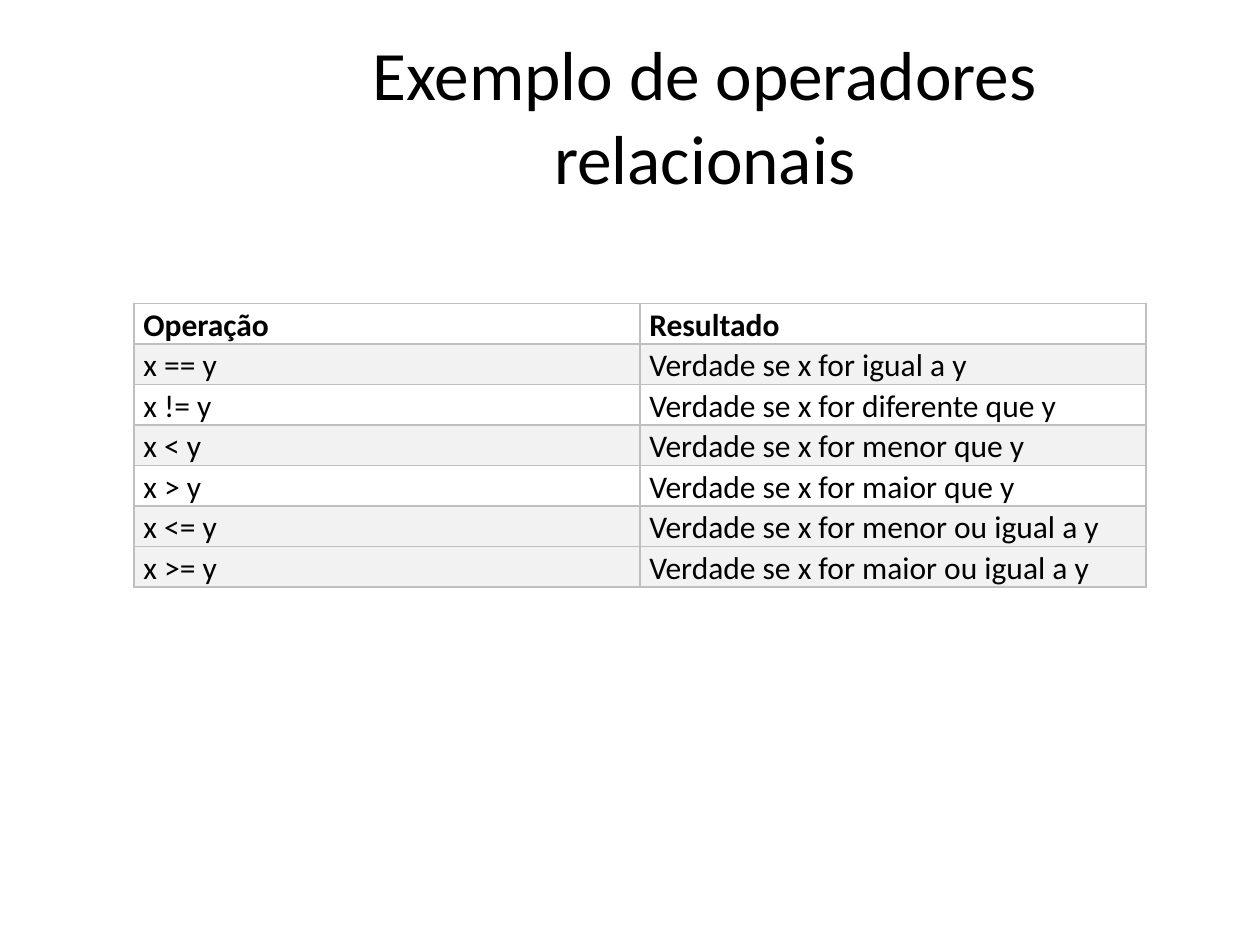
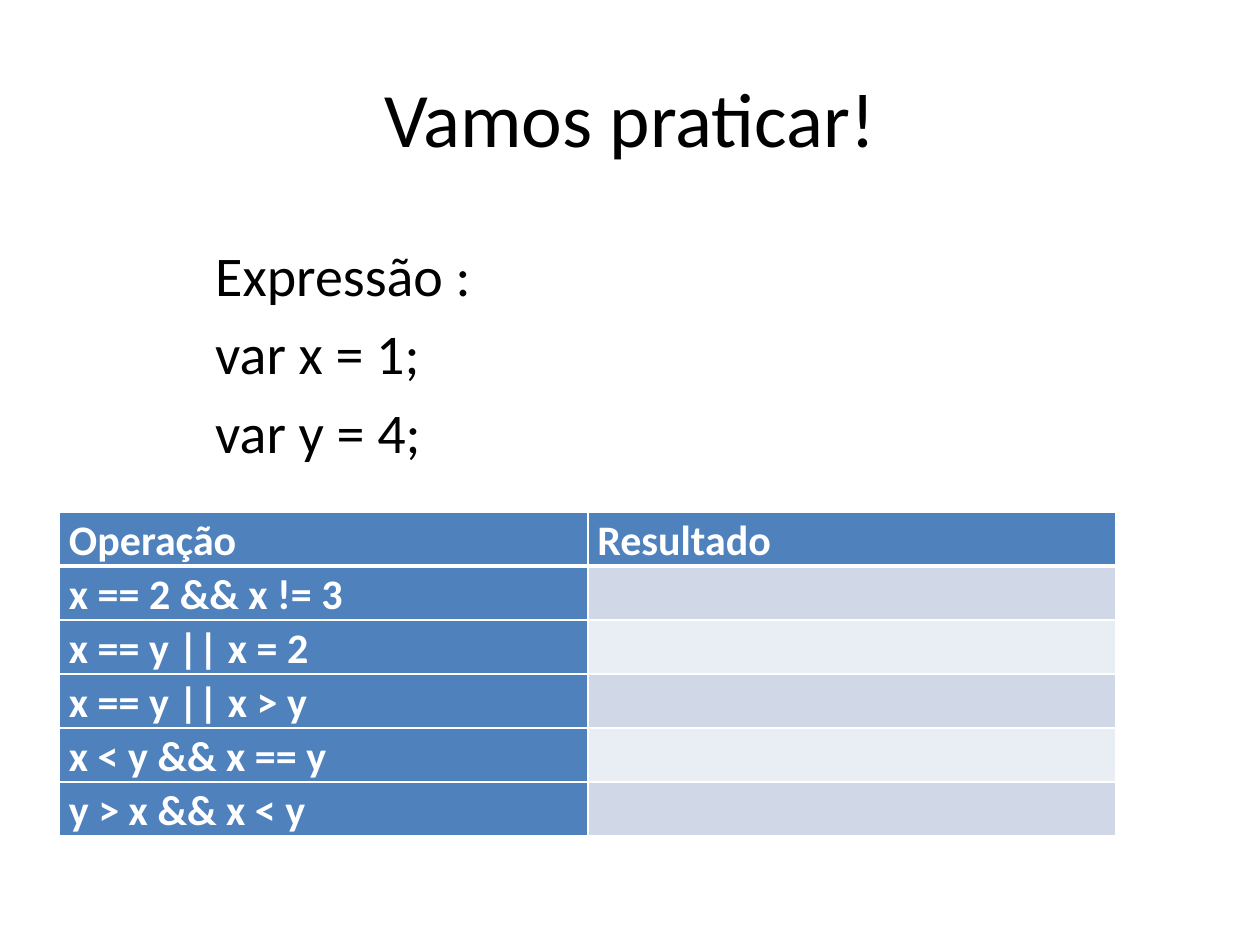
from dataclasses import dataclass
from typing import Any, Optional

from lxml import etree
from pptx import Presentation
from pptx import util as u
from pptx.dml.color import RGBColor
from pptx.enum import text
from pptx.oxml.ns import qn

# Shared look
COLOURS = {
    "ink": "000000",
    "paper": "FFFFFF",
    "grid": "BFBFBF",
    "grey": "F2F2F2",
    "blue": "4F81BD",
    "band_dark": "D0D8E8",
    "band_light": "E9EDF4",
}
FONT = "Calibri"
CELL_MARGINS = {
    "margin_left": u.Cm(0.19),
    "margin_right": u.Cm(0.19),
    "margin_top": 0,
    "margin_bottom": 0,
}
THIN, THICK = 1, 3


@dataclass
class Area:
    """Position and size in centimetres."""
    left: float
    top: float
    width: float
    height: float

    def lengths(self) -> list[u.Length]:
        return [u.Cm(value) for value in (self.left, self.top, self.width, self.height)]


@dataclass
class TextBlock:
    area: Area
    lines: list[str]
    size: float
    align: text.PP_ALIGN = text.PP_ALIGN.LEFT
    anchor: text.MSO_ANCHOR = text.MSO_ANCHOR.TOP
    space_before: float = 0


@dataclass
class Grid:
    """A table; fills holds one pair of colour names per row."""
    area: Area
    rows: list[tuple[str, str]]
    fills: list[tuple[Optional[str], Optional[str]]]
    size: float
    ink: str
    border: str
    bold_first_column: bool = False
    header_rule: float = THIN


def set_format(target: Any, values: dict[str, Any]) -> None:
    for name, value in values.items():
        setattr(target, name, value)


def set_font(font: Any, size: float, colour: str, bold: bool = False) -> None:
    set_format(font, {"name": FONT, "size": u.Pt(size), "bold": bold})
    font.color.rgb = RGBColor.from_string(COLOURS[colour])


def add_text(page: Any, block: TextBlock) -> None:
    box = page.shapes.add_textbox(*block.area.lengths())
    frame = box.text_frame
    set_format(frame, {"word_wrap": True, "vertical_anchor": block.anchor})
    for index, line in enumerate(block.lines):
        para = frame.add_paragraph() if index else frame.paragraphs[0]
        set_format(para, {"alignment": block.align,
                          "space_before": u.Pt(block.space_before)})
        span = para.add_run()
        span.text = line
        set_font(span.font, block.size, "ink")


def add_title(page: Any, title: str, area: Area, size: float) -> None:
    add_text(page, TextBlock(area, [title], size, text.PP_ALIGN.CENTER,
                             text.MSO_ANCHOR.MIDDLE))


def set_borders(cell: Any, colour: str, top: float, bottom: float) -> None:
    """Draw the four edges; they must precede the fill in the cell properties."""
    properties = cell._tc.get_or_add_tcPr()
    edges = {"a:lnL": THIN, "a:lnR": THIN, "a:lnT": top, "a:lnB": bottom}
    for position, (tag, width) in enumerate(edges.items()):
        line = etree.Element(qn(tag), w=str(u.Pt(width)))
        fill = etree.SubElement(line, qn("a:solidFill"))
        etree.SubElement(fill, qn("a:srgbClr"), val=COLOURS[colour])
        properties.insert(position, line)


def add_grid(page: Any, grid: Grid) -> None:
    table = page.shapes.add_table(len(grid.rows), 2, *grid.area.lengths()).table
    set_format(table, {"first_row": True, "horz_banding": False})
    for row, (words, fills) in enumerate(zip(grid.rows, grid.fills)):
        for column, (word, fill) in enumerate(zip(words, fills)):
            cell = table.cell(row, column)
            set_format(cell, CELL_MARGINS)
            if fill:
                cell.fill.solid()
                cell.fill.fore_color.rgb = RGBColor.from_string(COLOURS[fill])
            else:
                cell.fill.background()
            set_borders(cell, grid.border,
                        top=grid.header_rule if row == 1 else THIN,
                        bottom=grid.header_rule if row == 0 else THIN)
            if word:
                para = cell.text_frame.paragraphs[0]
                para.line_spacing = 1.07
                span = para.add_run()
                span.text = word
                bold = row == 0 or (grid.bold_first_column and column == 0)
                set_font(span.font, grid.size, grid.ink, bold)


deck = Presentation()
set_format(deck, {"slide_width": u.Cm(25.4), "slide_height": u.Cm(19.05)})
blank = deck.slide_layouts[6]
HEADER = ("Operação", "Resultado")

# Slide 1: relational operators
page = deck.slides.add_slide(blank)
add_title(page, "Exemplo de operadores relacionais", Area(4.29, 0.69, 19.84, 3.25), 39.6)
meanings = {
    "==": "igual a",
    "!=": "diferente que",
    "<": "menor que",
    ">": "maior que",
    "<=": "menor ou igual a",
    ">=": "maior ou igual a",
}
plain, shaded = (None, None), ("grey", "grey")
add_grid(page, Grid(
    Area(2.7, 6.12, 20.4, 5.16),
    [HEADER] + [(f"x {sign} y", f"Verdade se x for {meaning} y")
                for sign, meaning in meanings.items()],
    [plain, shaded] * 3 + [shaded],
    size=18, ink="ink", border="grid",
))

# Slide 2: practice
page = deck.slides.add_slide(blank)
add_title(page, "Vamos praticar!", Area(1.27, 0.76, 22.86, 3.18), 44)
add_text(page, TextBlock(
    Area(4.09, 4.72, 20.04, 12.29),
    ["Expressão :", "var x = 1;", "var y = 4;"],
    size=32, space_before=6.4,
))
exercises = ["x == 2 && x != 3", "x == y || x = 2", "x == y || x > y",
             "x < y && x == y", "y > x && x < y"]
add_grid(page, Grid(
    Area(1.2, 10.32, 21.3, 6.4),
    [HEADER] + [(exercise, "") for exercise in exercises],
    [("blue", "blue")] + [("blue", "band_light" if row % 2 else "band_dark")
                          for row in range(len(exercises))],
    size=24, ink="paper", border="paper",
    bold_first_column=True, header_rule=THICK,
))

deck.save("out.pptx")
